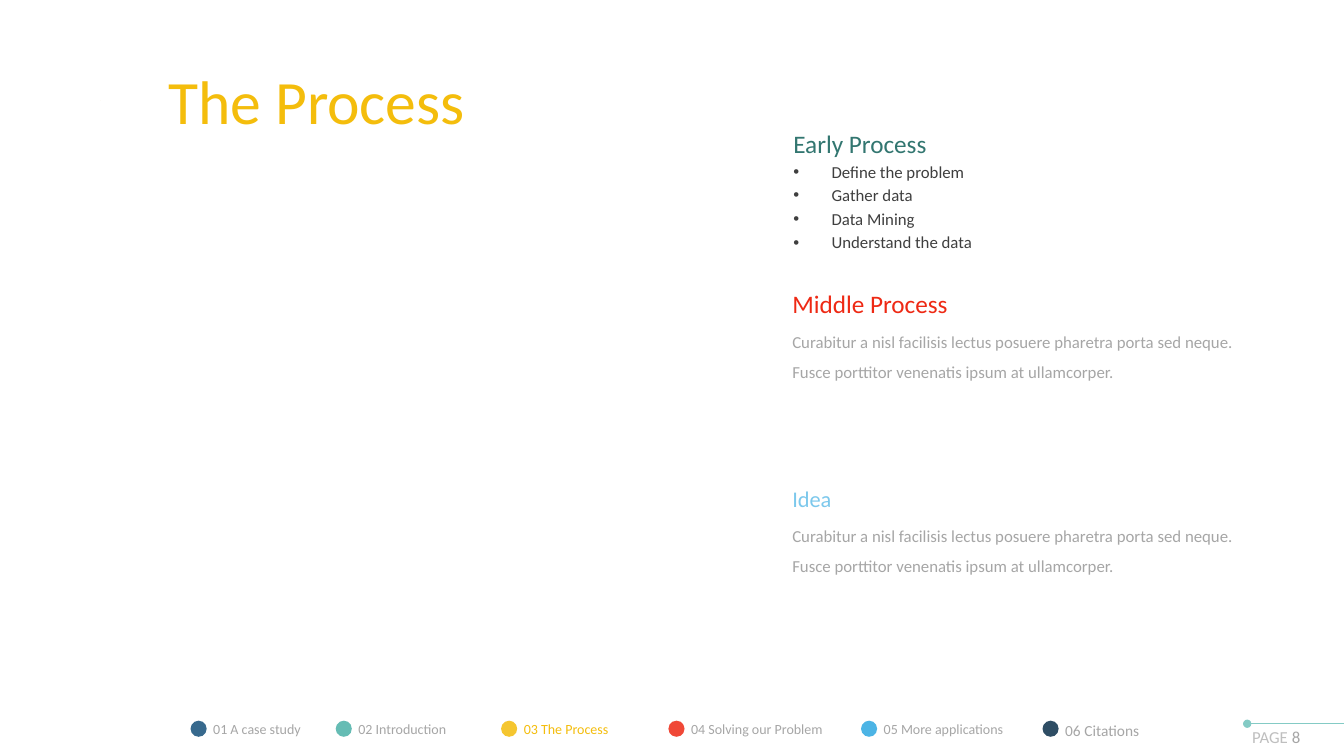
from dataclasses import dataclass

from lxml import etree
from pptx import Presentation
from pptx.dml.color import RGBColor
from pptx.enum.shapes import MSO_CONNECTOR, MSO_SHAPE
from pptx.enum.text import MSO_ANCHOR, MSO_AUTO_SIZE, PP_ALIGN
from pptx.oxml.ns import qn
from pptx.util import Inches, Pt

OVAL, STRAIGHT = MSO_SHAPE.OVAL, MSO_CONNECTOR.STRAIGHT
TOP, LEFT, FIXED = MSO_ANCHOR.TOP, PP_ALIGN.LEFT, MSO_AUTO_SIZE.NONE

GOLD = RGBColor(0xF4, 0xBD, 0x0C)
PINE = RGBColor(0x32, 0x76, 0x70)
RED = RGBColor(0xEE, 0x29, 0x14)
SKY = RGBColor(0x7C, 0xC8, 0xEC)
BLUE = RGBColor(0x2D, 0xA7, 0xE1)
NAVY = RGBColor(0x14, 0x4F, 0x7A)
INK = RGBColor(0x0A, 0x2F, 0x4A)
TEAL = RGBColor(0x4B, 0xB1, 0xA8)
AQUA = RGBColor(0x84, 0xCB, 0xC5)
DARK = RGBColor(0x3F, 0x3F, 0x3F)
GREY = RGBColor(0xA6, 0xA6, 0xA6)
PALE = RGBColor(0xBF, 0xBF, 0xBF)

FONT = "Calibri"
COLS, ROWS = 13.33, 7.5
CELL = Inches(1)  # columns and rows of the grid are equal
NAV_ROW, DOT, GAP = 7.15, 0.16, 0.225
INDENT = 0.38


@dataclass(frozen=True)
class Block:
    col: float
    row: float
    high: float
    head: str
    size: int
    color: RGBColor
    lines: tuple[str, ...]
    listed: bool = False


@dataclass(frozen=True)
class Stop:
    col: float
    wide: float
    label: str
    color: RGBColor
    size: int = 10
    ink: RGBColor = GREY


LOREM = ("Curabitur a nisl facilisis lectus posuere pharetra porta sed neque. "
         "Fusce porttitor venenatis ipsum at ullamcorper.",)
BLOCKS = (
    Block(7.77, 1.07, 1.49, "Early Process", 18, PINE,
          ("Define the problem", "Gather data", "Data Mining",
           "Understand the data"), True),
    Block(7.76, 2.66, 1.15, "Middle Process", 18, RED, LOREM),
    Block(7.76, 4.63, 1.12, "Idea", 16, SKY, LOREM),
)
STOPS = (
    Stop(1.89, 1.2, "01 A case study", NAVY),
    Stop(3.33, 0.93, "02 Introduction", TEAL),
    Stop(4.97, 0.85, "03 The Process", GOLD, ink=GOLD),
    Stop(6.63, 1.35, "04 Solving our Problem", RED),
    Stop(8.54, 1.29, "05 More applications", BLUE),
    Stop(10.34, 0.74, "06 Citations", INK, 11),
)

Ring = tuple[tuple[float, float], ...]
SKULL: Ring = (
    (1.4, .69), (1.36, .65), (1.31, .62), (1.26, .6), (1.21, .6), (1.13, .61),
    (1.05, .65), (.99, .7), (.96, .77), (.95, .81), (.96, .86), (.94, .89),
    (.92, .91), (.91, .93), (.91, .96), (.94, .98), (.94, 1.01), (.95, 1.02),
    (.95, 1.05), (.96, 1.06), (.96, 1.09), (.98, 1.13), (1, 1.15), (1.03, 1.15),
    (1.08, 1.14), (1.08, 1.19), (1.09, 1.22), (1.13, 1.23), (1.34, 1.23),
    (1.38, 1.21), (1.39, 1.17), (1.37, 1.07), (1.38, 1.05), (1.42, .98),
    (1.45, .9), (1.46, .84), (1.45, .78), (1.43, .73))
HOLLOW: Ring = (
    (1.42, .89), (1.4, .97), (1.35, 1.03), (1.34, 1.07), (1.36, 1.18),
    (1.35, 1.19), (1.34, 1.2), (1.13, 1.2), (1.11, 1.18), (1.11, 1.11),
    (1.09, 1.1), (1.03, 1.11), (1, 1.09), (.99, 1.04), (.98, 1.03), (.98, 1.01),
    (.99, 1), (.97, .99), (.97, .98), (.98, .97), (.97, .96), (.95, .95),
    (.95, .93), (.99, .87), (.99, .78), (1.02, .72), (1.07, .68), (1.14, .65),
    (1.21, .64), (1.3, .65), (1.37, .7), (1.42, .78))
BRAIN: Ring = (
    (1.27, .68), (1.24, .67), (1.22, .67), (1.2, .66), (1.17, .67), (1.13, .68),
    (1.08, .7), (1.05, .72), (1.04, .75), (1.03, .78), (1.02, .81), (1.04, .86),
    (1.06, .88), (1.09, .89), (1.11, .89), (1.14, .91), (1.16, .94), (1.2, .95),
    (1.22, .94), (1.25, .97), (1.29, .98), (1.33, .97), (1.36, .93),
    (1.39, .9), (1.4, .86), (1.4, .83), (1.39, .79), (1.36, .74),
    (1.34, .71), (1.31, .69))


def grid(*cells: float) -> list[int]:
    return [round(cell * CELL) for cell in cells]


def write(para, text: str, size: float, color: RGBColor) -> None:
    run = para.add_run()
    run.text = text
    run.font.name, run.font.size = FONT, Pt(size)
    run.font.color.rgb = color


def frame(slide, spot: tuple[float, ...], wrap: bool = True):
    text = slide.shapes.add_textbox(*grid(*spot)).text_frame
    text.word_wrap = wrap
    return text


def bullet(para) -> None:
    props = para._p.get_or_add_pPr()
    props.set("marL", str(grid(INDENT)[0]))
    props.set("indent", str(-grid(INDENT)[0]))
    etree.SubElement(props, qn("a:buFont")).set("typeface", "Arial")
    etree.SubElement(props, qn("a:buChar")).set("char", "•")


def paint(shape, color: RGBColor) -> None:
    shape.shadow.inherit = False
    shape.fill.solid()
    shape.fill.fore_color.rgb = color
    shape.line.fill.background()


def outline(slide, *rings: Ring) -> None:
    """Draw one gold shape; a second ring cuts a hole in the first."""
    first, *rest = rings
    pen = slide.shapes.build_freeform(*first[0], scale=CELL)
    pen.add_line_segments(first[1:])
    for ring in rest:
        pen.move_to(*ring[0])
        pen.add_line_segments(ring[1:])
    paint(pen.convert_to_shape(), GOLD)


def add_block(slide, block: Block) -> None:
    text = frame(slide, (block.col, block.row, 4.77, block.high))
    para = text.paragraphs[0]
    para.line_spacing = 1.5
    write(para, block.head, block.size, block.color)
    for line in block.lines:
        para = text.add_paragraph()
        para.space_before = Pt(2.4)
        if block.listed:
            bullet(para)
        else:
            para.line_spacing = 1.5
        write(para, line, 12, DARK if block.listed else GREY)


def add_stop(slide, stop: Stop) -> None:
    dot = slide.shapes.add_shape(OVAL, *grid(stop.col, NAV_ROW, DOT, DOT))
    paint(dot, stop.color)
    tint = dot.fill._xPr.find(".//" + qn("a:srgbClr"))
    etree.SubElement(tint, qn("a:alpha")).set("val", "85000")
    text = frame(slide, (stop.col + GAP, NAV_ROW, stop.wide, 0.17), False)
    text.margin_left = text.margin_right = 0
    text.margin_top = text.margin_bottom = 0
    write(text.paragraphs[0], stop.label, stop.size, stop.ink)


def add_title(slide) -> None:
    title = slide.shapes.title
    title.left, title.top, title.width, title.height = grid(1.57, 0.57, 6.42, 0.66)
    text = title.text_frame
    text.auto_size, text.vertical_anchor = FIXED, TOP
    para = text.paragraphs[0]
    para.alignment, para.line_spacing = LEFT, 1.0
    write(para, "The Process", 44, GOLD)


def add_page(slide) -> None:
    line = slide.shapes.add_connector(STRAIGHT, *grid(12.37, 7.18, COLS, 7.18))
    line.line.color.rgb, line.line.width = AQUA, Pt(1)
    etree.SubElement(line.line._get_or_add_ln(), qn("a:headEnd")).set("type", "oval")
    etree.SubElement(line._element.spPr, qn("a:effectLst"))
    para = frame(slide, (12.32, 7.16, 1.01, 0.3)).paragraphs[0]
    write(para, "PAGE ", 12, PALE)
    write(para, "8", 12, GREY)


def main() -> None:
    deck = Presentation()
    deck.slide_width, deck.slide_height = grid(COLS, ROWS)
    slide = deck.slides.add_slide(deck.slide_layouts[5])
    add_page(slide)
    add_title(slide)
    for block in BLOCKS:
        add_block(slide, block)
    for stop in STOPS:
        add_stop(slide, stop)
    outline(slide, SKULL, HOLLOW)
    outline(slide, BRAIN)
    deck.save("out.pptx")


if __name__ == "__main__":
    main()
